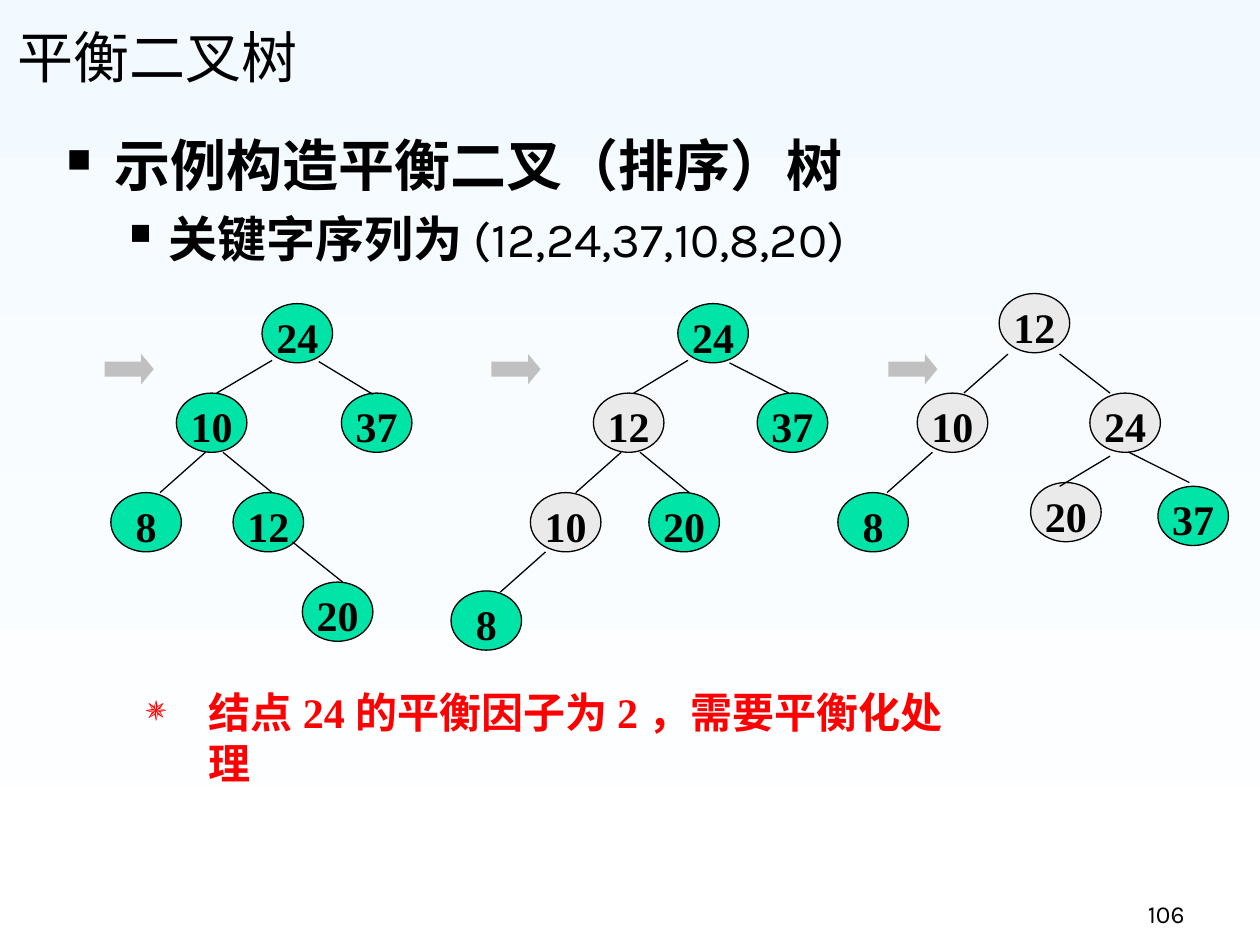
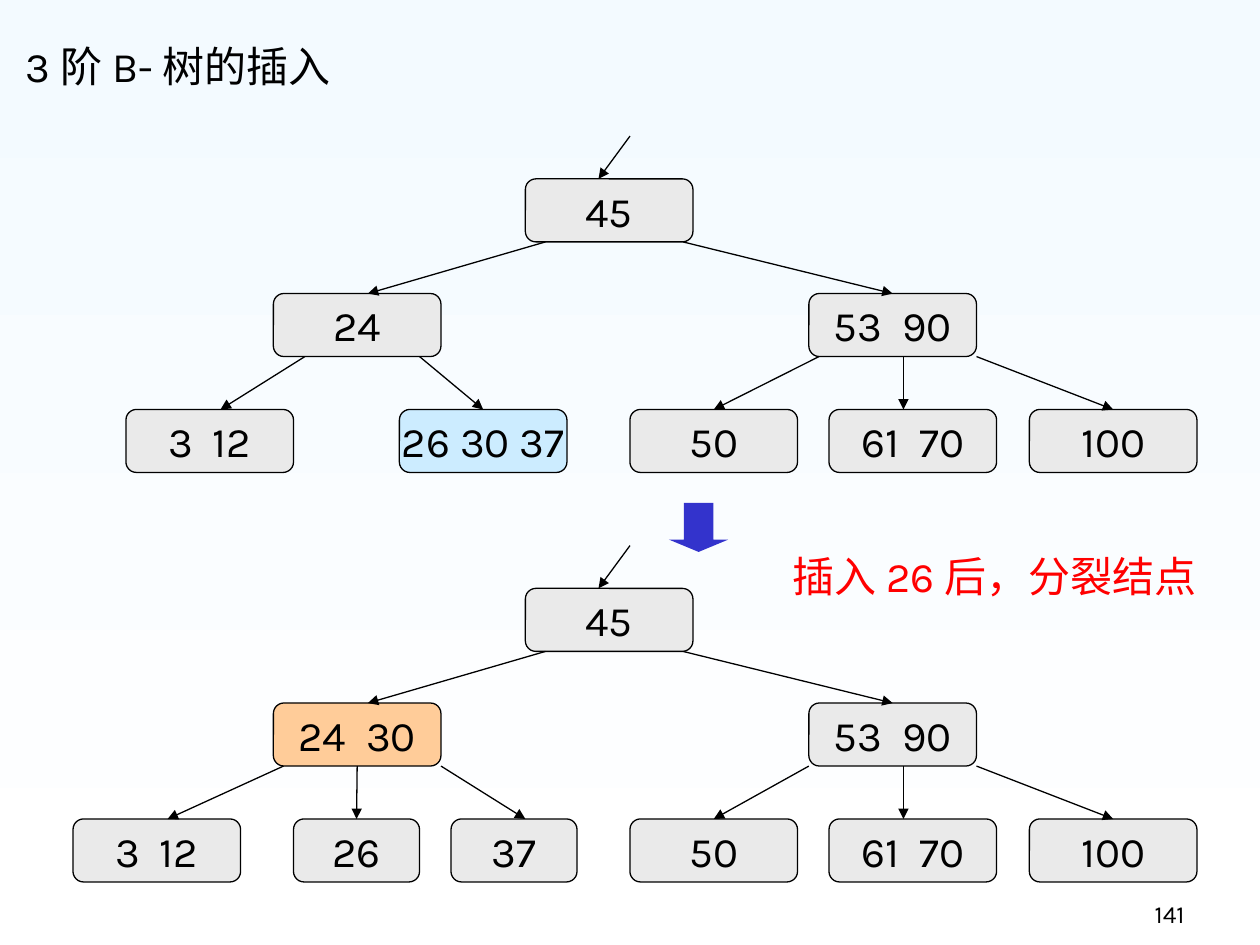
from lxml.etree import SubElement
from pptx import Presentation
from pptx.dml.color import RGBColor
from pptx.enum.shapes import MSO_CONNECTOR as Connector, MSO_SHAPE as Preset
from pptx.enum.text import MSO_ANCHOR as Anchor, PP_ALIGN as Align
from pptx.oxml.ns import qn
from pptx.util import Pt

PX = 9144
TITLE_ONLY = 5
LATIN, CHINESE, SERIF = "Karla", "Noto Sans CJK SC", "Times New Roman"
BLACK, RED, BLUE, SILVER = "000000", "FF0000", "3333CC", "C0C0C0"
GREEN, GREY, SKY, ORANGE = "00E4A8", "EAEAEA", "CCECFF", "FFCC99"
SKY_TOP, SKY_BOTTOM = "F3FAFF", "FFFFFF"


def px(*lengths):
    return [round(length * PX) for length in lengths]


def color(value):
    return RGBColor.from_string(value)


def set_format(target, values):
    for name, value in values.items():
        setattr(target, name, value)


class Deck:
    NODE = {"margin_left": 0, "margin_top": 12 * PX, "margin_right": 0,
            "margin_bottom": 0, "vertical_anchor": Anchor.TOP, "word_wrap": True}
    BOX = {"vertical_anchor": Anchor.MIDDLE, "word_wrap": False}
    CENTER = {"alignment": Align.CENTER}
    TIGHT = {"alignment": Align.CENTER, "line_spacing": 0.64}

    def __init__(self):
        self.presentation = Presentation()
        set_format(self.presentation, {"slide_width": 1000 * PX, "slide_height": 750 * PX})
        fill = self.presentation.slide_master.background.fill
        fill.gradient()
        fill.gradient_angle = 270
        for stop, value, position in zip(fill.gradient_stops, (SKY_TOP, SKY_BOTTOM), (0, 1)):
            stop.color.rgb = color(value)
            stop.position = position

    def add_slide(self, title, place, number, size, font, layout):
        self.slide = self.presentation.slides.add_slide(
            self.presentation.slide_layouts[TITLE_ONLY])
        self.boxes = []
        shape = self.slide.shapes.title
        set_format(shape, dict(zip(("left", "top", "width", "height"), px(*place))))
        set_format(shape.text_frame, {"vertical_anchor": Anchor.BOTTOM, "word_wrap": True})
        paragraph = shape.text_frame.paragraphs[0]
        set_format(paragraph, layout)
        self.run(paragraph, title, size, font=font)
        self.text((742, 692, 208, 50), Anchor.BOTTOM,
                  [([(number, False)], 14, LATIN, BLACK, {"alignment": Align.RIGHT}, None)])

    def run(self, paragraph, text, size, value=BLACK, bold=False, font=LATIN):
        run = paragraph.add_run()
        run.text = text
        set_format(run.font, {"size": Pt(size), "bold": bold, "name": font})
        run.font.color.rgb = color(value)
        SubElement(run.font._element, qn("a:ea"), typeface=CHINESE)

    def bullet(self, paragraph, character, percent, left, hanging):
        properties = paragraph._p.get_or_add_pPr()
        properties.set("marL", str(left * PX))
        properties.set("indent", str(-hanging * PX))
        SubElement(properties, qn("a:buSzPct"), val=str(percent * 1000))
        SubElement(properties, qn("a:buChar"), char=character)

    def text(self, place, anchor, paragraphs):
        frame = self.slide.shapes.add_textbox(*px(*place)).text_frame
        set_format(frame, {"word_wrap": True, "vertical_anchor": anchor})
        for index, (runs, size, font, value, layout, bullet) in enumerate(paragraphs):
            paragraph = frame.add_paragraph() if index else frame.paragraphs[0]
            set_format(paragraph, layout)
            if bullet:
                self.bullet(paragraph, *bullet)
            for words, bold in runs:
                self.run(paragraph, words, size, value, bold, font)

    def shape(self, preset, place, fill, adjustments=()):
        shape = self.slide.shapes.add_shape(preset, *px(*place))
        shape.shadow.inherit = False
        shape.fill.solid()
        shape.fill.fore_color.rgb = color(fill)
        shape.line.fill.background()
        for index, adjustment in enumerate(adjustments):
            shape.adjustments[index] = adjustment
        return shape

    def labelled(self, preset, place, fill, label, frame, layout, font, bold):
        shape = self.shape(preset, place, fill)
        shape.line.color.rgb = color(BLACK)
        shape.line.width = Pt(0.75)
        set_format(shape.text_frame, frame)
        paragraph = shape.text_frame.paragraphs[0]
        set_format(paragraph, layout)
        self.run(paragraph, label, 24, bold=bold, font=font)
        return shape

    def node(self, label, left, top, fill):
        self.labelled(Preset.OVAL, (left, top, 56, 47), fill, label,
                      self.NODE, self.TIGHT, SERIF, True)

    def box(self, label, left, top, width=133, fill=GREY):
        shape = self.labelled(Preset.ROUNDED_RECTANGLE, (left, top, width, 50), fill, label,
                              self.BOX, self.CENTER, LATIN, False)
        self.boxes.append((shape, left + width / 2, top))

    def line(self, *ends):
        connector = self.slide.shapes.add_connector(Connector.STRAIGHT, *px(*ends))
        connector.line.color.rgb = color(BLACK)
        connector.line.width = Pt(0.75)
        SubElement(connector._element.spPr, qn("a:effectLst"))
        return connector

    def arrow(self, x1, y1, x2, y2):
        connector = self.line(x1, y1, x2, y2)
        SubElement(connector.line._get_or_add_ln(), qn("a:tailEnd"), type="triangle")
        for shape, middle, top in self.boxes:
            if abs(x1 - middle) <= 1 and y1 == top + 50:
                connector.begin_connect(shape, 2)
            if abs(x2 - middle) <= 1 and y2 == top:
                connector.end_connect(shape, 0)


def balanced_tree(deck):
    deck.add_slide("平衡二叉树", (4, 8, 852, 68), "106", 32, CHINESE,
                   {"alignment": Align.JUSTIFY, "space_before": Pt(16)})
    deck.text((43, 99, 936, 512), Anchor.TOP, [
        ([("示例构造平衡二叉（排序）树", True)], 32, LATIN, BLACK,
         {"space_before": Pt(6.4)}, ("■", 60, 38, 38)),
        ([("关键字序列为", True), ("(12,24,37,10,8,20)", False)], 28, LATIN, BLACK,
         {"space_before": Pt(5.6), "level": 1}, ("■", 60, 81, 31))])
    deck.text((106, 540, 677, 55), Anchor.TOP, [
        ([("结点24的平衡因子为2，需要平衡化处理", True)], 24, SERIF, RED,
         {"space_before": Pt(4.8)}, ("✵", 85, 50, 50))])
    for left in (83, 390, 705):
        deck.shape(Preset.RIGHT_ARROW, (left, 281, 39, 24), SILVER, (0.5, 0.414))

    trees = [
        ([("24", 208, 241, GREEN), ("37", 271, 312, GREEN), ("10", 140, 312, GREEN),
          ("12", 185, 391, GREEN), ("8", 88, 391, GREEN), ("20", 240, 462, GREEN)],
         [(253, 287, 296, 313), (216, 286, 172, 312), (177, 359, 216, 391),
          (163, 359, 127, 391), (232, 430, 272, 462)]),
        ([("24", 538, 241, GREEN), ("37", 601, 312, GREEN), ("12", 471, 312, GREY),
          ("20", 515, 391, GREEN), ("10", 421, 391, GREY), ("8", 358, 469, GREEN)],
         [(546, 286, 503, 312), (508, 359, 547, 391), (493, 359, 457, 391),
          (433, 438, 397, 470), (579, 288, 626, 312)]),
        ([("24", 865, 312, GREY), ("12", 793, 233, GREY), ("20", 818, 383, GREY),
          ("10", 728, 312, GREY), ("8", 665, 391, GREEN), ("37", 919, 386, GREEN)],
         [(881, 362, 841, 386), (800, 281, 765, 312), (740, 359, 704, 391),
          (896, 359, 944, 383), (841, 281, 881, 312)]),
    ]
    for nodes, branches in trees:
        for node in nodes:
            deck.node(*node)
        for branch in branches:
            deck.line(*branch)


def search_tree(deck, top, left_parent, leaves, left_branches, right_start):
    parents, bottom = top + 91, top + 183
    deck.box("45", 417, top)
    deck.box("53  90", 642, parents)
    deck.box(left_parent[0], 217, parents, fill=left_parent[1])
    for label, left in (("50", 500), ("61  70", 658), ("100", 817)):
        deck.box(label, left, bottom)
    for label, left, width, fill in leaves:
        deck.box(label, left, bottom, width, fill)
    deck.arrow(500, top - 34, 475, top)
    for start, end in ((433, 292), (542, 708)):
        deck.arrow(start, top + 50, end, parents)
    right_branches = [(right_start, 567), (717, 717), (775, 883)]
    for start, end in left_branches + right_branches:
        deck.arrow(start, parents + 50, end, bottom)


def node_split(deck):
    deck.add_slide("3阶B-树的插入", (10, 0, 852, 77), "141", 24, LATIN,
                   {"alignment": Align.LEFT})
    search_tree(deck, 142, ("24", GREY),
                [("3  12", 100, 133, GREY), ("26 30 37", 317, 133, SKY)],
                [(242, 175), (333, 383)], 650)
    search_tree(deck, 467, ("24  30", ORANGE),
                [("3  12", 58, 133, GREY), ("26", 233, 100, GREY), ("37", 358, 100, GREY)],
                [(225, 133), (283, 283), (350, 417)], 642)
    deck.text((619, 432, 351, 42), Anchor.TOP, [
        ([("插入26后，分裂结点", False)], 24, LATIN, RED, {"space_before": Pt(4.8)}, None)])
    deck.shape(Preset.DOWN_ARROW, (531, 399, 47, 39), BLUE, (0.5, 0.25))


def main():
    deck = Deck()
    balanced_tree(deck)
    node_split(deck)
    deck.presentation.save("out.pptx")


if __name__ == "__main__":
    main()
